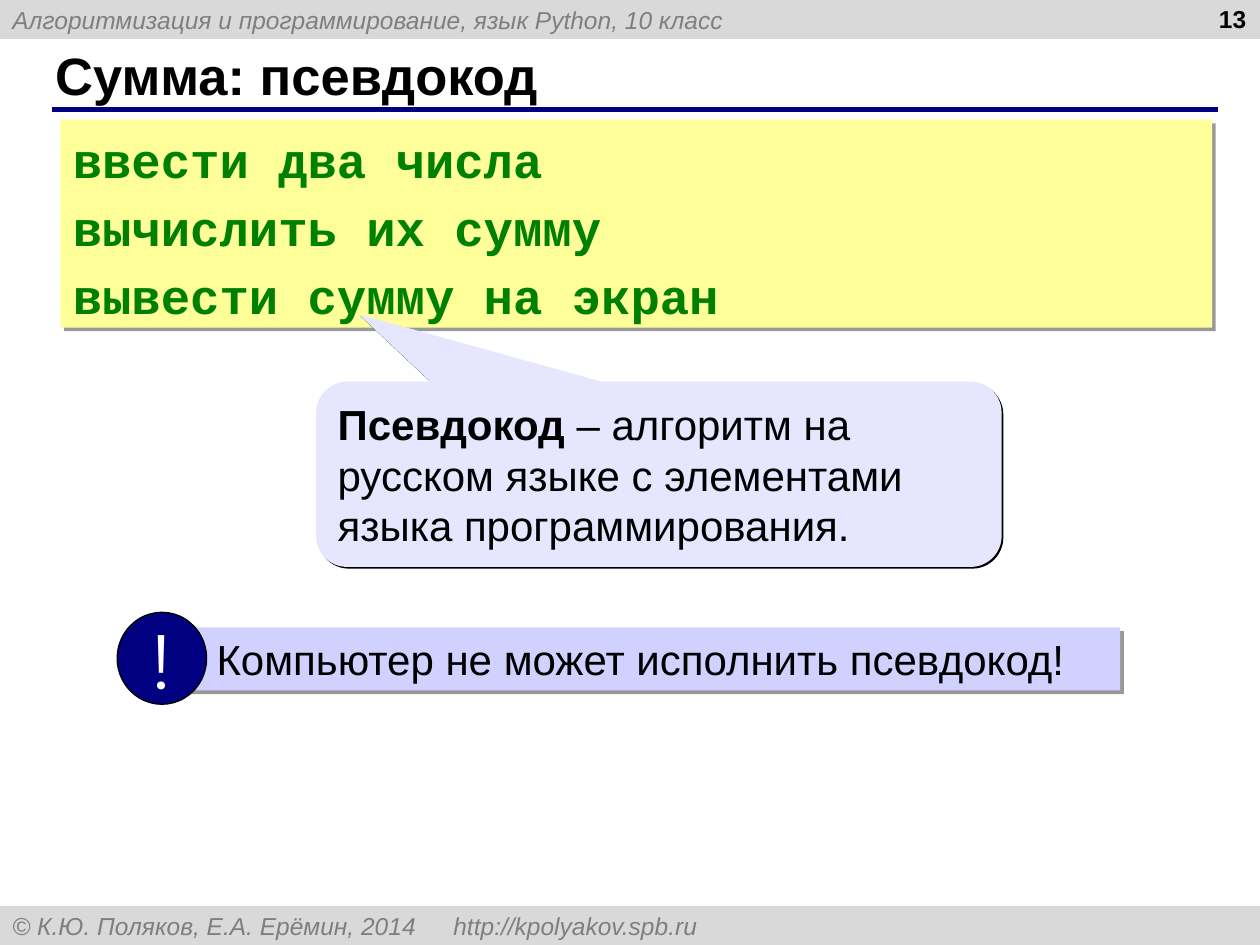
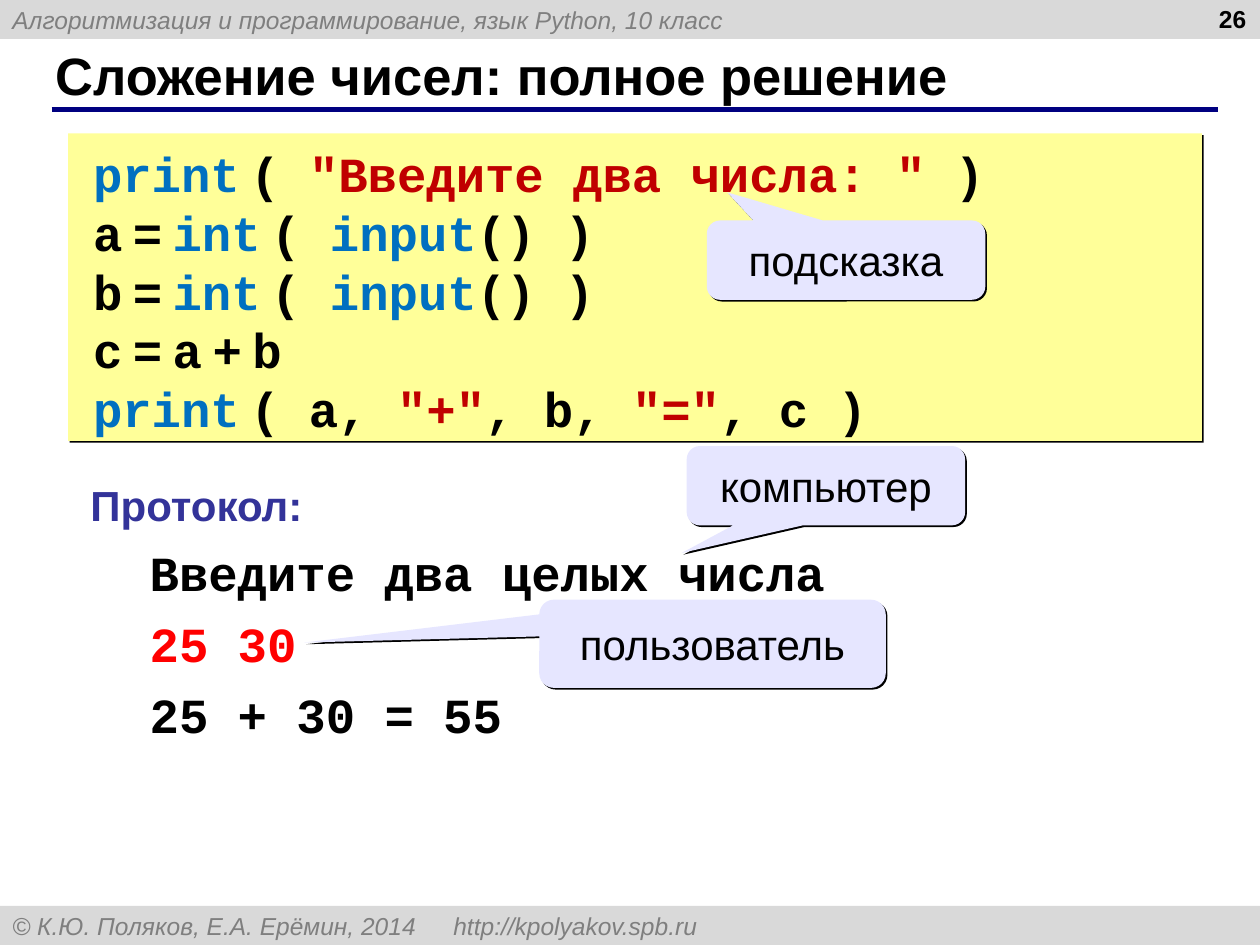
from lxml import etree
from pptx import Presentation
from pptx.dml.color import RGBColor
from pptx.enum.shapes import MSO_CONNECTOR, MSO_SHAPE
from pptx.enum.text import MSO_ANCHOR, PP_ALIGN
from pptx.oxml.ns import qn
from pptx.util import Inches, Pt

RECT, OVAL = MSO_SHAPE.RECTANGLE, MSO_SHAPE.OVAL
CALLOUT = MSO_SHAPE.ROUNDED_RECTANGULAR_CALLOUT
LEFT, CENTER, RIGHT = PP_ALIGN.LEFT, PP_ALIGN.CENTER, PP_ALIGN.RIGHT
TOP, MIDDLE = MSO_ANCHOR.TOP, MSO_ANCHOR.MIDDLE

BLACK = RGBColor(0x00, 0x00, 0x00)
WHITE = RGBColor(0xFF, 0xFF, 0xFF)
BAND = RGBColor(0xD9, 0xD9, 0xD9)
GRAY = RGBColor(0x7F, 0x7F, 0x7F)
NAVY = RGBColor(0x00, 0x00, 0x80)
YELLOW = RGBColor(0xFF, 0xFF, 0x99)
LILAC = RGBColor(0xE6, 0xE6, 0xFF)
LAVENDER = RGBColor(0xD1, 0xD1, 0xFF)
GREEN = RGBColor(0x00, 0x80, 0x00)
KEYWORD = RGBColor(0x00, 0x70, 0xC0)
STRING = RGBColor(0xC0, 0x00, 0x00)
INDIGO = RGBColor(0x33, 0x33, 0x99)
RED = RGBColor(0xFF, 0x00, 0x00)

SANS, MONO, ACCENT = "Arial", "Courier New", "Montserrat"
WIDTH, HEIGHT, BAND_H = 10, 7.5, 0.31
LINE_PITCH = 1.2                # line height as a share of the font size
SOFT = (40, 3)                  # shadow opacity in percent, offset in points
HARD = (100, 1.4)

COURSE = "Алгоритмизация и программирование, язык Python, 10 класс"
FOOTER = "© К.Ю. Поляков, Е.А. Ерёмин, 2014\thttp://kpolyakov.spb.ru"

# A paragraph is a string or a list of runs; a run is a string or (text, format).
PSEUDOCODE = ["ввести два числа", "вычислить их сумму", "вывести сумму на экран"]
DEFINITION = [[("Псевдокод", {"bold": True}),
               " – алгоритм на русском языке с элементами языка программирования."]]
WARNING = "Компьютер не может исполнить псевдокод!"

GAP = (" ", {"size": 10})       # narrow space between code tokens


def kw(text):
    return text, {"color": KEYWORD}


def quoted(text):
    return text, {"color": STRING}


def read_number(name):
    return [name, GAP, "=", GAP, kw("int"), GAP, "( ", kw("input"), "() )"]


PROGRAM = [
    [kw("print"), GAP, "( ", quoted('"Введите два числа: "'), " )"],
    read_number("a"),
    read_number("b"),
    ["c", GAP, "=", GAP, "a", GAP, "+", GAP, "b"],
    [kw("print"), GAP, "( a, ", quoted('"+"'), ", b, ", quoted('"="'), ", c )"],
]
PROTOCOL_TITLE = "Протокол:"
PROTOCOL = ["Введите два целых числа", [("25 30", {"color": RED})], "25 + 30 = 55"]

# text, box, pointer tip as shares of the box measured from its centre
HINTS = [
    ("компьютер", (5.45, 3.54, 2.21, 0.63), (-0.518, 0.848)),
    ("пользователь", (4.28, 4.76, 2.75, 0.7), (-1.178, -0.014)),
    ("подсказка", (5.61, 1.75, 2.21, 0.63), (-0.427, -0.855)),
]


def write(sp, paragraphs, size=24, font=SANS, color=BLACK, bold=False,
          italic=False, align=LEFT, anchor=TOP, before=0, indent=0,
          inset_top=0.05, wrap=True, tab=None):
    """Fill a shape with paragraphs that share one format."""
    tf = sp.text_frame
    tf.word_wrap, tf.vertical_anchor = wrap, anchor
    tf.margin_left = tf.margin_right = Inches(0.1)
    tf.margin_top, tf.margin_bottom = Inches(inset_top), Inches(0.05)
    if isinstance(paragraphs, str):
        paragraphs = [paragraphs]
    for i, runs in enumerate(paragraphs):
        p = tf.add_paragraph() if i else tf.paragraphs[0]
        p.alignment, p.line_spacing = align, Pt(LINE_PITCH * size)
        p.space_before = Pt(before if i else 0)
        pPr = p._p.get_or_add_pPr()
        pPr.set("marL", str(Inches(indent)))
        pPr.set("indent", "0")
        if tab:
            tabs = etree.SubElement(pPr, qn("a:tabLst"))
            etree.SubElement(tabs, qn("a:tab"), pos=str(Inches(tab)), algn="r")
        for run in [runs] if isinstance(runs, str) else runs:
            text, own = (run, {}) if isinstance(run, str) else run
            r = p.add_run()
            r.text = text
            r.font.name, r.font.italic = font, italic
            r.font.size = Pt(own.get("size", size))
            r.font.bold = own.get("bold", bold)
            r.font.color.rgb = own.get("color", color)


def add_box(slide, box, kind=RECT, fill=None, line=None, shadow=None):
    """Add a preset shape, shadowed down and to the right on request."""
    sp = slide.shapes.add_shape(kind, *map(Inches, box))
    sp.shadow.inherit = False
    sp.fill.solid()
    sp.fill.fore_color.rgb = fill
    if line:
        sp.line.color.rgb, sp.line.width = line, Pt(0.75)
    else:
        sp.line.fill.background()
    if shadow:
        opacity, offset = shadow
        effects = sp._element.spPr.find(qn("a:effectLst"))
        outer = etree.SubElement(effects, qn("a:outerShdw"), blurRad="0",
                                 dist=str(Pt(offset)), dir=str(45 * 60000),
                                 algn="ctr", rotWithShape="0")
        tint = etree.SubElement(outer, qn("a:srgbClr"), val=str(BLACK))
        etree.SubElement(tint, qn("a:alpha"), val=str(opacity * 1000))
    return sp


def add_text(slide, box, paragraphs, **fmt):
    write(slide.shapes.add_textbox(*map(Inches, box)), paragraphs, **fmt)


def add_callout(slide, box, tip, paragraphs, **fmt):
    sp = add_box(slide, box, CALLOUT, LILAC, shadow=HARD)
    for i, value in enumerate((*tip, 0.167)):
        sp.adjustments[i] = value
    write(sp, paragraphs, anchor=MIDDLE, **fmt)


def add_code(slide, box, lines, shadow, **fmt):
    sp = add_box(slide, box, fill=YELLOW, shadow=shadow)
    write(sp, lines, size=28, font=MONO, bold=True, inset_top=0.08, **fmt)


def add_page(prs, title, number):
    """Start a slide with the bands, title, rule and page number."""
    slide = prs.slides.add_slide(prs.slide_layouts[6])
    for top, text, tab in ((0, COURSE, None), (HEIGHT - BAND_H, FOOTER, 9.61)):
        band = add_box(slide, (0, top, WIDTH, BAND_H), fill=BAND)
        write(band, text, size=14, color=GRAY, italic=True, anchor=MIDDLE, tab=tab)
    rule = slide.shapes.add_connector(
        MSO_CONNECTOR.STRAIGHT, *map(Inches, (0.41, 0.87, 9.67, 0.87)))
    rule.line.color.rgb, rule.line.width = NAVY, Pt(3)
    etree.SubElement(rule._element.spPr, qn("a:effectLst"))
    add_text(slide, (0.34, 0.33, 9.16, 0.52), title, size=30, bold=True,
             anchor=MIDDLE)
    add_text(slide, (7.66, -0.02, 2.33, 0.52), str(number), size=14, bold=True,
             align=RIGHT)
    return slide


def build_pseudocode(prs):
    slide = add_page(prs, "Сумма: псевдокод", 13)
    add_code(slide, (0.48, 0.95, 9.14, 1.65), PSEUDOCODE, SOFT, color=GREEN,
             before=5.2)
    add_callout(slide, (2.51, 3.03, 5.44, 1.47), (-0.438, -0.864), DEFINITION)
    bar = add_box(slide, (1.44, 4.98, 7.45, 0.5), fill=LAVENDER, shadow=SOFT)
    write(bar, WARNING, indent=0.18)
    badge = add_box(slide, (0.93, 4.86, 0.71, 0.73), OVAL, NAVY, line=BLACK)
    write(badge, "!", size=44, font=ACCENT, color=WHITE, align=CENTER,
          anchor=MIDDLE, wrap=False)


def build_solution(prs):
    slide = add_page(prs, "Сложение чисел: полное решение", 26)
    add_code(slide, (0.54, 1.06, 9, 2.44), PROGRAM, HARD, indent=0.1)
    add_text(slide, (0.62, 3.76, 9.06, 0.5), PROTOCOL_TITLE, color=INDIGO, bold=True)
    add_text(slide, (0.62, 4.26, 9.06, 1.7), PROTOCOL, size=28, font=MONO,
             bold=True, before=7, indent=0.47)
    for text, box, tip in HINTS:
        add_callout(slide, box, tip, text, align=CENTER)


def main():
    prs = Presentation()
    prs.slide_width, prs.slide_height = Inches(WIDTH), Inches(HEIGHT)
    build_pseudocode(prs)
    build_solution(prs)
    prs.save("out.pptx")


if __name__ == "__main__":
    main()
